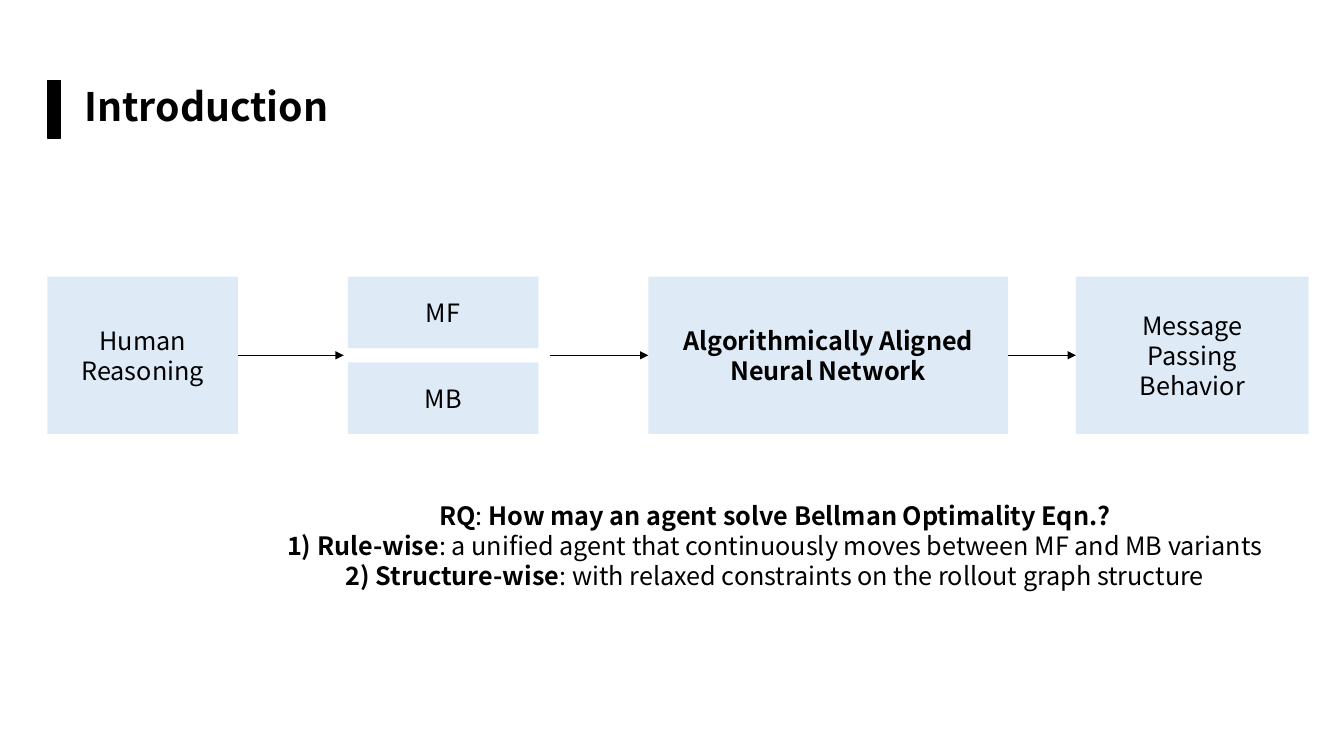
from dataclasses import dataclass

from lxml.etree import SubElement
from pptx import Presentation
from pptx.dml.color import RGBColor as Color
from pptx.enum.shapes import MSO_CONNECTOR as Connector, MSO_SHAPE as Shape
from pptx.enum.text import MSO_ANCHOR as Anchor, PP_ALIGN as Align
from pptx.oxml.ns import qn
from pptx.util import Inches, Pt


@dataclass(frozen=True)
class Theme:
    font: str = "Noto Sans CJK KR"
    ink: Color = Color.from_string("000000")
    panel: Color = Color.from_string("DEEBF7")
    title_size: Pt = Pt(28)
    body_size: Pt = Pt(18)
    body_pitch: Pt = Pt(21.7)
    arrow_width: Pt = Pt(0.5)


THEME = Theme()
WIDTH, HEIGHT = Inches(13.33), Inches(7.5)

# Flow row, in percent of the slide's width and height
FLOW_TOP, FLOW_HEIGHT = 36.6, 20.8
FLOW_MIDDLE = FLOW_TOP + FLOW_HEIGHT / 2
HALF_HEIGHT = 9.47
LEFT_MARGIN, SMALL_WIDTH = 3.53, 14.18
MODEL_LEFT = 25.88
NETWORK_LEFT, NETWORK_WIDTH = 48.24, 26.78
BEHAVIOR_LEFT, BEHAVIOR_WIDTH = 80.05, 17.33


def across(share):
    return round(WIDTH * share / 100)


def down(share):
    return round(HEIGHT * share / 100)


def area(left, top, width, height):
    return across(left), down(top), across(width), down(height)


def style_span(span, size, bold):
    span.font.name = THEME.font
    span.font.size = size
    span.font.bold = bold
    span.font.color.rgb = THEME.ink


def style_frame(frame, size, spacing, align, bold=False):
    frame.word_wrap = True
    frame.vertical_anchor = Anchor.MIDDLE
    for para in frame.paragraphs:
        para.alignment = align
        para.line_spacing = spacing
        for span in para.runs:
            style_span(span, size, bold)


def add_panel(page, place, fill, text="", bold=False):
    panel = page.shapes.add_shape(Shape.RECTANGLE, *area(*place))
    panel.shadow.inherit = False
    panel.fill.solid()
    panel.fill.fore_color.rgb = fill
    panel.line.fill.background()
    if text:
        panel.text_frame.text = text
        style_frame(panel.text_frame, THEME.body_size, THEME.body_pitch,
                    Align.CENTER, bold)
    return panel


def add_title(page, text):
    box = page.shapes.add_textbox(*area(5.55, 9.6, 91.37, 9.6))
    box.text_frame.text = text
    style_frame(box.text_frame, THEME.title_size, 0.9, Align.LEFT, True)
    bar = add_panel(page, (LEFT_MARGIN, 10.67, 0.98, 7.6), THEME.ink)
    bar.line.color.rgb = THEME.ink
    bar.line.width = Pt(1)


def add_arrow(page, start, end):
    arrow = page.shapes.add_connector(
        Connector.STRAIGHT, across(start), down(FLOW_MIDDLE),
        across(end), down(FLOW_MIDDLE))
    arrow.line.color.rgb = THEME.ink
    arrow.line.width = THEME.arrow_width
    SubElement(arrow.line._get_or_add_ln(), qn("a:tailEnd"), type="triangle")
    SubElement(arrow._element.spPr, qn("a:effectLst"))


def add_question(page, place, lines):
    box = page.shapes.add_textbox(*area(*place))
    para = box.text_frame.paragraphs[0]
    style_frame(box.text_frame, THEME.body_size, THEME.body_pitch, Align.CENTER)
    for number, line in enumerate(lines):
        if number:
            para.add_line_break()
        for text, bold in line:
            span = para.add_run()
            span.text = text
            style_span(span, THEME.body_size, bold)


def main():
    deck = Presentation()
    deck.slide_width, deck.slide_height = WIDTH, HEIGHT
    page = deck.slides.add_slide(deck.slide_layouts[6])

    add_title(page, "Introduction")

    # Flow boxes: left, top, width, height, text, bold
    half_low = FLOW_TOP + FLOW_HEIGHT - HALF_HEIGHT
    for *place, text, bold in (
        (LEFT_MARGIN, FLOW_TOP, SMALL_WIDTH, FLOW_HEIGHT,
         "Human\nReasoning", False),
        (NETWORK_LEFT, FLOW_TOP, NETWORK_WIDTH, FLOW_HEIGHT,
         "Algorithmically Aligned\vNeural Network", True),
        (MODEL_LEFT, FLOW_TOP, SMALL_WIDTH, HALF_HEIGHT, "MF", False),
        (MODEL_LEFT, half_low, SMALL_WIDTH, HALF_HEIGHT, "MB", False),
        (BEHAVIOR_LEFT, FLOW_TOP, BEHAVIOR_WIDTH, FLOW_HEIGHT,
         "Message\vPassing\vBehavior", False),
    ):
        add_panel(page, place, THEME.panel, text, bold)

    # Arrows between the stages
    for start, end in (
        (LEFT_MARGIN + SMALL_WIDTH, 25.58),
        (40.89, NETWORK_LEFT),
        (NETWORK_LEFT + NETWORK_WIDTH, BEHAVIOR_LEFT),
    ):
        add_arrow(page, start, end)

    # Research question
    add_question(page, (20.18, 60.8, 74.94, 22.67), (
        (("RQ", True), (": ", False),
         ("How may an agent solve Bellman Optimality Eqn.?", True)),
        (("1) Rule-wise", True),
         (": a unified agent that continuously moves between MF and MB variants",
          False)),
        (("2) Structure-wise", True),
         (": with relaxed constraints on the rollout graph structure", False)),
    ))

    deck.save("out.pptx")


if __name__ == "__main__":
    main()
